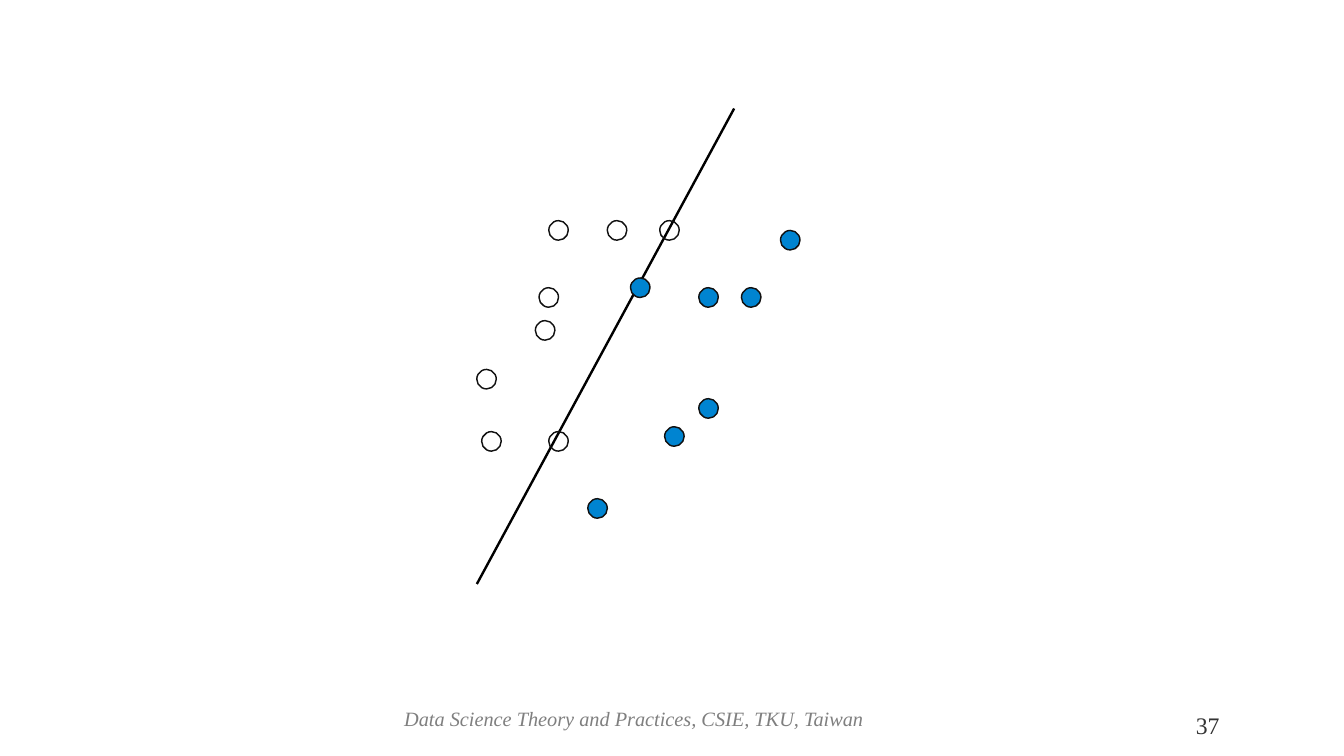
from lxml import etree
from pptx import Presentation
from pptx.dml.color import RGBColor
from pptx.enum.shapes import MSO_CONNECTOR as CONNECTOR, MSO_SHAPE as SHAPE
from pptx.enum.text import MSO_ANCHOR as ANCHOR, PP_ALIGN as ALIGN
from pptx.oxml.ns import qn
from pptx.util import Inches, Pt

FONT = "Times New Roman"
POINT_SIZE = 0.16

# Top left corners of the points, in inches from the corner of the plot
OPEN_POINTS = [(0.59, 0.92), (1.07, 0.92), (1.5, 0.92), (0.51, 1.47),
               (0.48, 1.74), (0, 2.14), (0.04, 2.65), (0.59, 2.65)]
FILLED_POINTS = [(0.91, 3.2), (1.54, 2.61), (1.82, 2.38), (1.82, 1.47),
                 (2.17, 1.47), (2.49, 1), (1.26, 1.39)]


def color(hex_string):
    return RGBColor.from_string(hex_string)


def add_point(slide, left, top, fill=None):
    point = slide.shapes.add_shape(SHAPE.OVAL, Inches(left), Inches(top),
                                   Inches(POINT_SIZE), Inches(POINT_SIZE))
    point.shadow.inherit = False
    point.line.color.rgb = color("111111")
    point.line.width = Pt(0.85)
    if fill:
        point.fill.solid()
        point.fill.fore_color.rgb = color(fill)
    else:
        point.fill.background()


def add_boundary(slide, start, end):
    boundary = slide.shapes.add_connector(
        CONNECTOR.STRAIGHT, *(Inches(value) for value in start + end))
    boundary.line.color.rgb = color("000000")
    boundary.line.width = Pt(1.42)
    etree.SubElement(boundary._element.spPr, qn("a:effectLst"))


def add_text(slide, box, text, size, hex_color, align, italic=False):
    text_box = slide.shapes.add_textbox(*(Inches(value) for value in box))
    frame = text_box.text_frame
    frame.word_wrap = True
    frame.vertical_anchor = ANCHOR.TOP
    frame.margin_left = frame.margin_right = 0
    frame.margin_top = frame.margin_bottom = 0
    paragraph = frame.paragraphs[0]
    paragraph.alignment = align
    run = paragraph.add_run()
    run.text = text
    run.font.name = FONT
    run.font.size = Pt(size)
    run.font.italic = italic
    run.font.color.rgb = color(hex_color)


def add_scatter(slide, box):
    left, top, width, height = box
    # Separating line, behind the points
    add_boundary(slide, (left + 2.11, top), (left, top + height))
    # Two classes of points
    for points, fill in ((OPEN_POINTS, None), (FILLED_POINTS, "0084D1")):
        for x, y in points:
            add_point(slide, left + x, top + y, fill)


def add_footer(slide, box):
    left, top, width, height = box
    # Course name
    add_text(slide, (left, top, 5.04, height),
             "Data Science Theory and Practices, CSIE, TKU, Taiwan",
             size=12, hex_color="7F7F7F", align=ALIGN.CENTER, italic=True)
    # Page number, at the right edge
    add_text(slide, (left + width - 2.05, top + 0.04, 2.05, height), "37",
             size=14, hex_color="333333", align=ALIGN.RIGHT)


def main():
    presentation = Presentation()
    presentation.slide_width = Inches(11.02)
    presentation.slide_height = Inches(6.2)
    slide = presentation.slides.add_slide(presentation.slide_layouts[6])
    add_scatter(slide, (3.91, 0.89, 2.65, 3.9))
    add_footer(slide, (2.68, 5.79, 7.32, 0.33))
    presentation.save("out.pptx")


if __name__ == "__main__":
    main()
